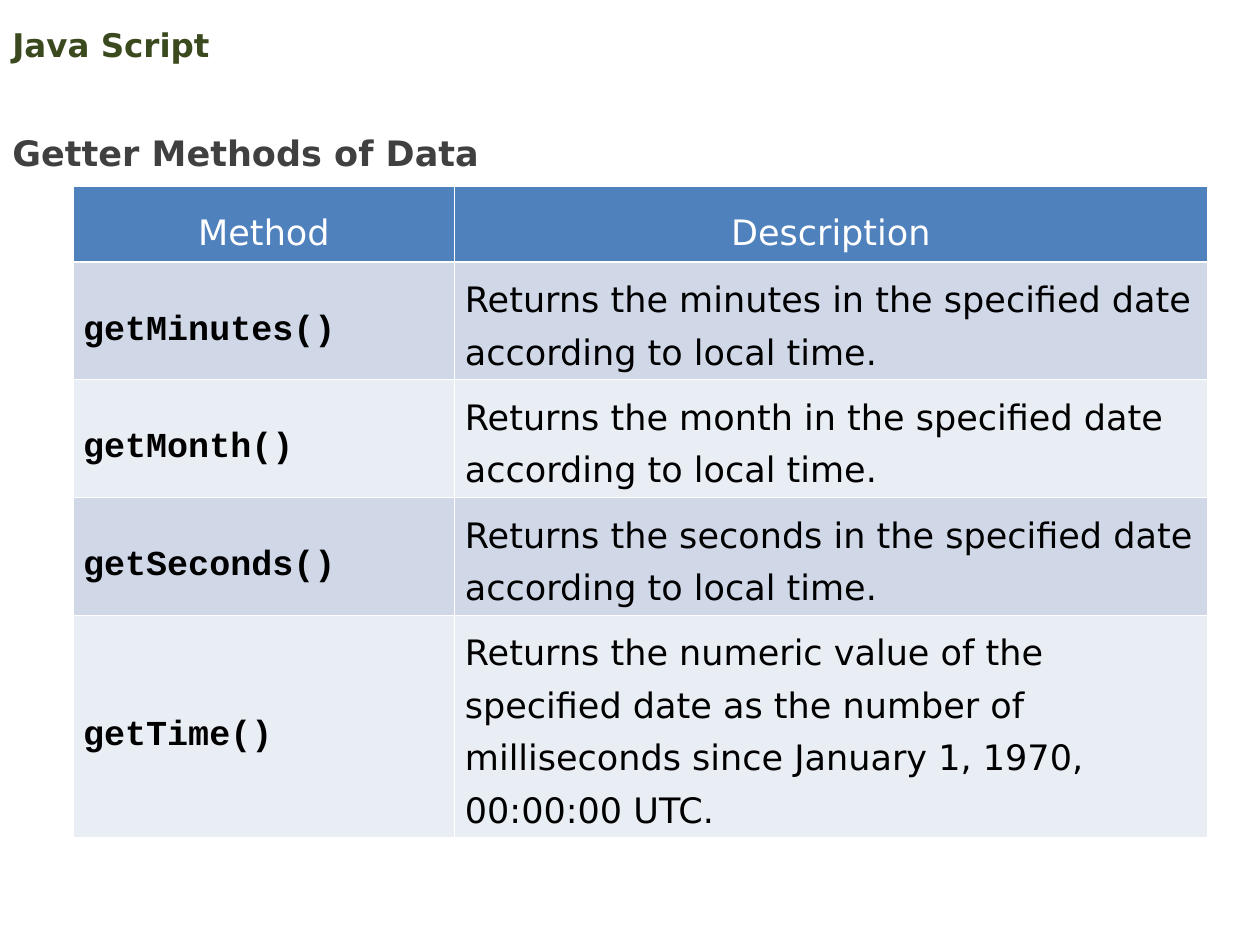
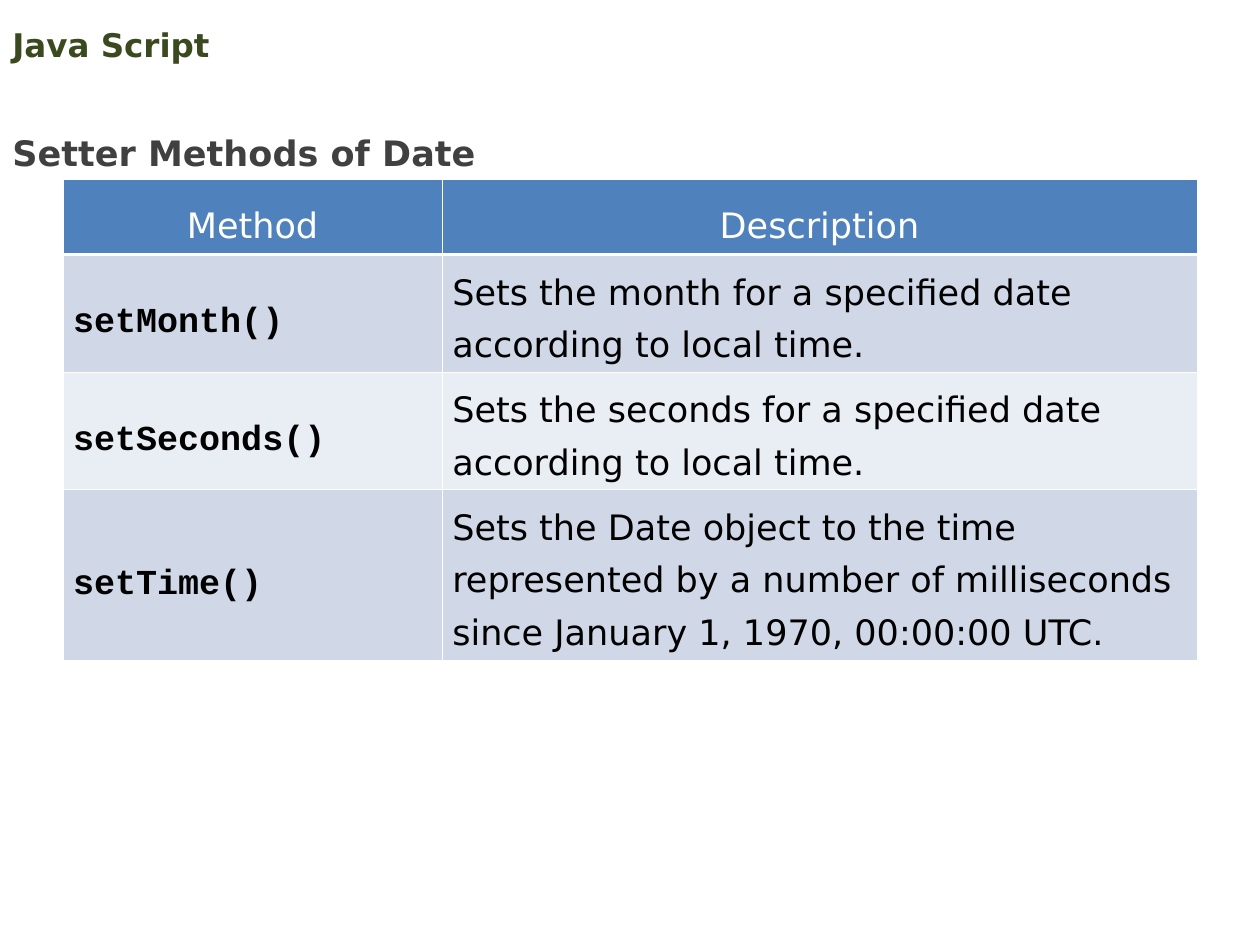
from dataclasses import dataclass

from lxml.etree import SubElement
from pptx import Presentation
from pptx.dml.color import RGBColor
from pptx.enum.text import MSO_ANCHOR as Anchor, MSO_AUTO_SIZE as AutoSize, PP_ALIGN as Align
from pptx.oxml.ns import qn
from pptx.util import Inches, Pt


@dataclass(frozen=True)
class Theme:
    # Colours
    title: str = "3B4A1E"
    heading: str = "404040"
    header_fill: str = "4F81BD"
    band_fills: tuple = ("D0D8E8", "E9EDF4")
    body_text: str = "000000"
    white: str = "FFFFFF"
    # Type and line sizes in points
    sans: str = "DejaVu Sans"
    mono: str = "Courier New"
    title_size: float = 18.6
    text_size: float = 20
    text_pitch: float = 30
    thin_rule: float = 0.45
    header_rule: float = 1.47


THEME = Theme()
SLIDE_WIDTH, SLIDE_HEIGHT = Inches(10), Inches(7.5)
TABLE_WIDTH = Inches(9)
HEADER_HEIGHT = Inches(0.5)

COURSE = "Java Script"
COLUMN_HEADS = ("Method", "Description")

# Each row: method, description, number of text lines
GETTERS = [
    ("getMinutes()", "Returns the minutes in the specified date according to local time.", 2),
    ("getMonth()", "Returns the month in the specified date according to local time.", 2),
    ("getSeconds()", "Returns the seconds in the specified date according to local time.", 2),
    ("getTime()", "Returns the numeric value of the specified date as the number of "
                  "milliseconds since January 1, 1970, 00:00:00 UTC.", 4),
]
SETTERS = [
    ("setMonth()", "Sets the month for a specified date according to local time.", 2),
    ("setSeconds()", "Sets the seconds for a specified date according to local time.", 2),
    ("setTime()", "Sets the Date object to the time represented by a number of "
                  "milliseconds since January 1, 1970, 00:00:00 UTC.", 3),
]


def write(text_frame, text, color, font=THEME.sans, size=THEME.text_size, bold=False,
          spacing=1.5, align=Align.LEFT):
    """Fill a text frame with one styled paragraph."""
    text_frame.text = text
    text_frame.word_wrap = True
    paragraph = text_frame.paragraphs[0]
    paragraph.line_spacing = spacing
    paragraph.alignment = align
    style = paragraph.runs[0].font
    style.name, style.size, style.bold = font, Pt(size), bold
    style.color.rgb = RGBColor.from_string(color)


def add_label(slide, top, width, height, text, **style):
    """Add a bold line of text at the left edge, sized in shares of the slide."""
    box = slide.shapes.add_textbox(0, int(SLIDE_HEIGHT * top), int(SLIDE_WIDTH * width),
                                   int(SLIDE_HEIGHT * height))
    write(box.text_frame, text, bold=True, **style)
    return box.text_frame


def set_borders(cell, top, bottom):
    """Draw white borders; the sides are always thin."""
    properties = cell._tc.get_or_add_tcPr()
    widths = {"L": THEME.thin_rule, "R": THEME.thin_rule, "T": top, "B": bottom}
    for side, width in widths.items():
        line = SubElement(properties, qn(f"a:ln{side}"), w=str(Pt(width)))
        fill = SubElement(line, qn("a:solidFill"))
        SubElement(fill, qn("a:srgbClr"), val=THEME.white)


def style_cell(cell, row):
    """Give a cell its margins, borders, anchor and banded fill."""
    cell.margin_left = cell.margin_right = Inches(0.08)
    cell.margin_top = cell.margin_bottom = Inches(0.05)
    set_borders(cell, top=THEME.header_rule if row == 1 else THEME.thin_rule,
                bottom=THEME.header_rule if row == 0 else THEME.thin_rule)
    cell.vertical_anchor = Anchor.MIDDLE if row else Anchor.TOP
    color = THEME.band_fills[(row - 1) % 2] if row else THEME.header_fill
    cell.fill.solid()
    cell.fill.fore_color.rgb = RGBColor.from_string(color)


def add_method_table(slide, left, top, method_width, methods):
    """Add the table of methods; row heights follow the number of text lines."""
    heights = [HEADER_HEIGHT] + [Pt(THEME.text_pitch * lines) for _, _, lines in methods]
    table = slide.shapes.add_table(len(heights), 2, Inches(left), Inches(top),
                                   TABLE_WIDTH, sum(heights)).table
    table.columns[0].width = Inches(method_width)
    table.columns[1].width = TABLE_WIDTH - Inches(method_width)

    for index, height in enumerate(heights):
        table.rows[index].height = height
        for cell in table.rows[index].cells:
            style_cell(cell, index)

    for column, head in enumerate(COLUMN_HEADS):
        write(table.cell(0, column).text_frame, head, THEME.white, align=Align.CENTER)
    for row, (method, description, _) in enumerate(methods, start=1):
        write(table.cell(row, 0).text_frame, method, THEME.body_text, font=THEME.mono, bold=True)
        write(table.cell(row, 1).text_frame, description, THEME.body_text,
              spacing=Pt(THEME.text_pitch))


def add_method_slide(presentation, heading, methods, left, top, method_width):
    slide = presentation.slides.add_slide(presentation.slide_layouts[6])
    # Course title and heading
    title = add_label(slide, 0.019, 0.9, 0.057, COURSE, color=THEME.title,
                      size=THEME.title_size, spacing=1.0)
    title.vertical_anchor = Anchor.MIDDLE
    label = add_label(slide, 0.11, 0.545, 0.08, heading, color=THEME.heading)
    label.auto_size = AutoSize.SHAPE_TO_FIT_TEXT
    # Methods
    add_method_table(slide, left, top, method_width, methods)


def main():
    presentation = Presentation()
    presentation.slide_width, presentation.slide_height = SLIDE_WIDTH, SLIDE_HEIGHT
    add_method_slide(presentation, "Getter Methods of Data", GETTERS,
                     left=0.58, top=1.48, method_width=3.03)
    add_method_slide(presentation, "Setter Methods of Date", SETTERS,
                     left=0.5, top=1.42, method_width=3.01)
    presentation.save("out.pptx")


if __name__ == "__main__":
    main()
